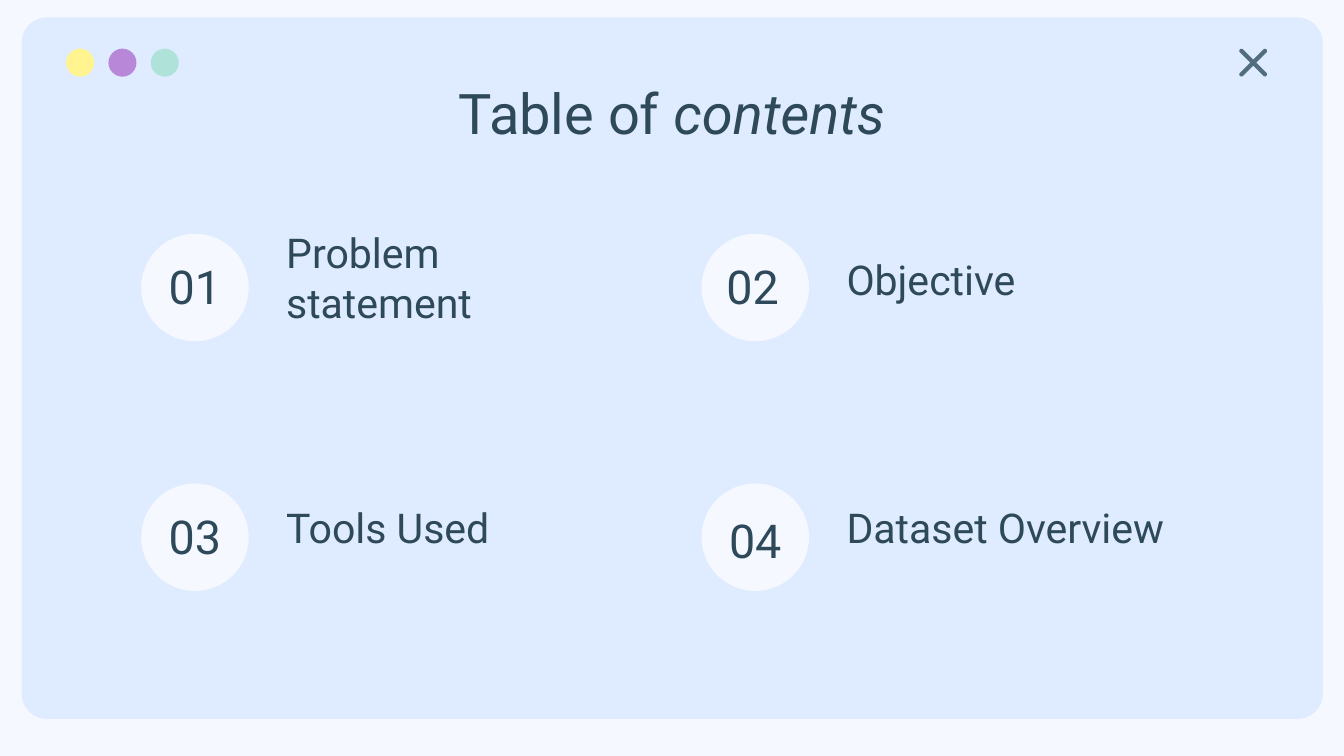
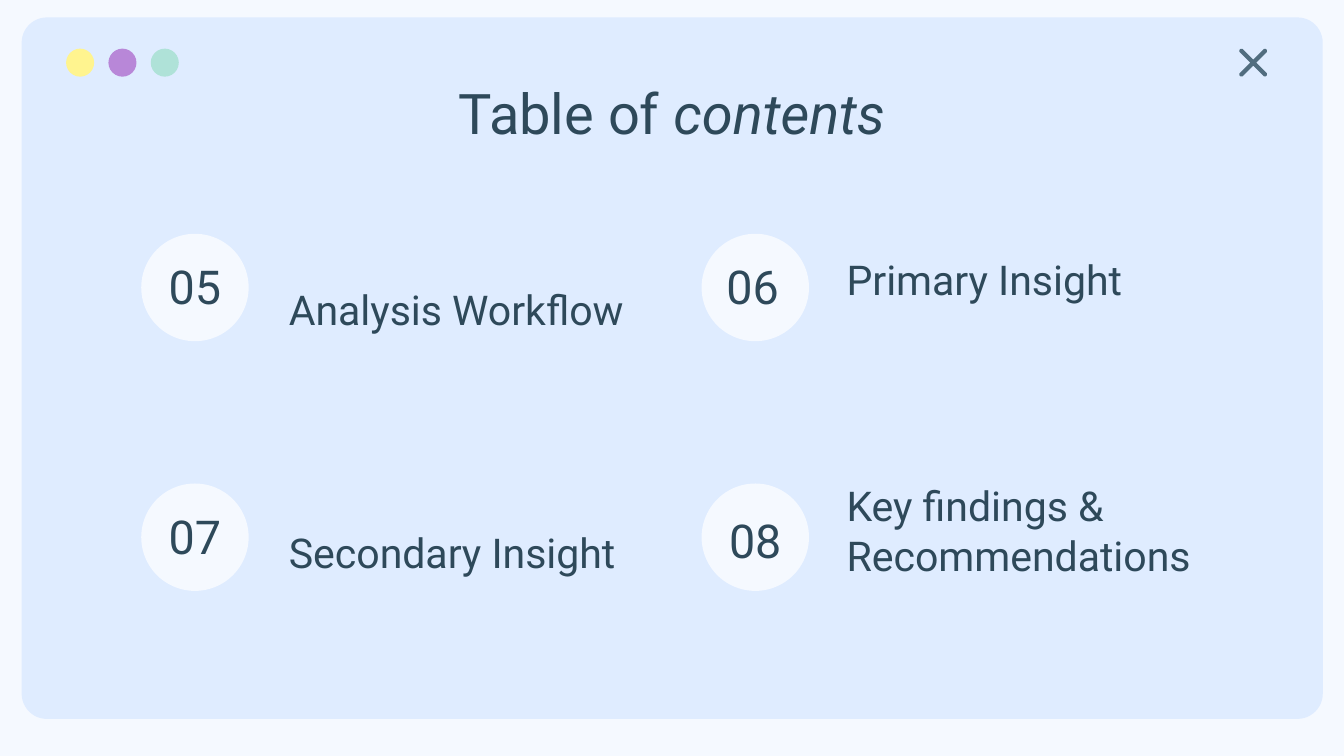
from pptx import Presentation
from pptx.dml.color import RGBColor
from pptx.enum.shapes import MSO_SHAPE
from pptx.enum.text import MSO_ANCHOR, MSO_AUTO_SIZE, PP_ALIGN
from pptx.util import Cm, Pt

ROUNDED = MSO_SHAPE.ROUNDED_RECTANGLE
OVAL = MSO_SHAPE.OVAL
CROSS = MSO_SHAPE.MATH_MULTIPLY
TOP, MIDDLE, BOTTOM = MSO_ANCHOR.TOP, MSO_ANCHOR.MIDDLE, MSO_ANCHOR.BOTTOM
LEFT, CENTER = PP_ALIGN.LEFT, PP_ALIGN.CENTER
FIXED_SIZE = MSO_AUTO_SIZE.NONE

FONT = "Roboto"
INK = "2E495A"
PAGE_COLOR = "F5F9FF"
WINDOW_COLOR = "DFECFF"
CROSS_COLOR = "516D7F"
DOT_COLORS = ["FFF48F", "B887D8", "AFE2D8"]

TITLE = [("Table of ", False), ("contents", True)]

# Each topic: text, gap from its circle, top, width
CONTENTS = [
    [
        ("Problem statement", 2.49, 5.28, 6.86),
        ("Objective", 2.49, 4.85, 6.86),
        ("Tools Used", 2.49, 9.53, 6.86),
        ("Dataset Overview", 2.49, 9.53, 6.86),
    ],
    [
        ("Analysis Workflow", 2.54, 5.41, 6.86),
        ("Primary Insight", 2.49, 4.85, 6.86),
        ("Secondary Insight", 2.54, 10.01, 6.86),
        ("Key findings & Recommendations", 2.49, 10.06, 7.34),
    ],
]

COLUMNS = [2.67, 13.26]
ROWS = [4.42, 9.14]
CIRCLE = 2.03
# Each number box: offset below circle top, height, left inset
NUMBER_BOXES = [(0.28, 1.42, 0.25), (0.28, 1.42, 0.15), (0.28, 1.42, 0.25), (0.39, 1.35, 0.25)]
LABEL_HEIGHT = 1.14


def color(value):
    return RGBColor.from_string(value)


def add_shape(page, kind, left, top, width, height, fill):
    shape = page.shapes.add_shape(kind, Cm(left), Cm(top), Cm(width), Cm(height))
    shape.shadow.inherit = False
    shape.fill.solid()
    shape.fill.fore_color.rgb = color(fill)
    shape.line.fill.background()
    return shape


def format_frame(frame, size, align, anchor, left_inset=0.25):
    frame.word_wrap = True
    frame.auto_size = FIXED_SIZE
    frame.vertical_anchor = anchor
    frame.margin_left = Cm(left_inset)
    frame.margin_right = frame.margin_top = frame.margin_bottom = Cm(0.25)
    for para in frame.paragraphs:
        para.alignment = align
        for span in para.runs:
            span.font.name = FONT
            span.font.size = Pt(size)
            span.font.color.rgb = color(INK)


def add_text(page, text, left, top, width, height, *style):
    box = page.shapes.add_textbox(Cm(left), Cm(top), Cm(width), Cm(height))
    box.text_frame.text = text
    format_frame(box.text_frame, *style)


def move_window_to_layout(page, layout):
    window = add_shape(page, ROUNDED, 0.41, 0.33, 24.59, 13.26, WINDOW_COLOR)
    window.adjustments[0] = 0.036
    dots = [
        add_shape(page, OVAL, 1.25 + 0.8 * index, 0.92, 0.53, 0.53, fill)
        for index, fill in enumerate(DOT_COLORS)
    ]
    cross = add_shape(page, CROSS, 23.24, 0.74, 0.89, 0.89, CROSS_COLOR)
    cross.adjustments[0] = 0.031
    cross.line.color.rgb = color(CROSS_COLOR)
    cross.line.width = Pt(1.5)
    for index, shape in enumerate([window, *dots, cross]):
        shape.element.nvSpPr.cNvPr.set("id", str(100 + index))
        layout.shapes.element.append(shape.element)


def add_title(page):
    title = page.shapes.title
    title.left, title.top, title.width, title.height = Cm(2), Cm(1.24), Cm(21.4), Cm(1.6)
    para = title.text_frame.paragraphs[0]
    for text, italic in TITLE:
        span = para.add_run()
        span.text = text
        span.font.italic = italic
    format_frame(title.text_frame, 30, CENTER, TOP)


def add_topics(page, topics, first_number):
    for index, (text, gap, label_top, label_width) in enumerate(topics):
        row, column = divmod(index, 2)
        left, top = COLUMNS[column], ROWS[row]
        drop, height, inset = NUMBER_BOXES[index]
        add_shape(page, OVAL, left, top, CIRCLE, CIRCLE, PAGE_COLOR)
        add_text(page, f"{first_number + index:02}", left - 0.08, top + drop,
                 CIRCLE + 0.16, height, 25, CENTER, MIDDLE, inset)
        add_text(page, text, left + gap, label_top, label_width, LABEL_HEIGHT,
                 22, LEFT, BOTTOM)


def main():
    deck = Presentation()
    deck.slide_width, deck.slide_height = Cm(25.4), Cm(14.29)
    layout = deck.slide_layouts[5]
    layout.background.fill.solid()
    layout.background.fill.fore_color.rgb = color(PAGE_COLOR)
    first_number = 1
    for topics in CONTENTS:
        page = deck.slides.add_slide(layout)
        if first_number == 1:
            move_window_to_layout(page, layout)
        add_title(page)
        add_topics(page, topics, first_number)
        first_number += len(topics)
    deck.save("out.pptx")


if __name__ == "__main__":
    main()
